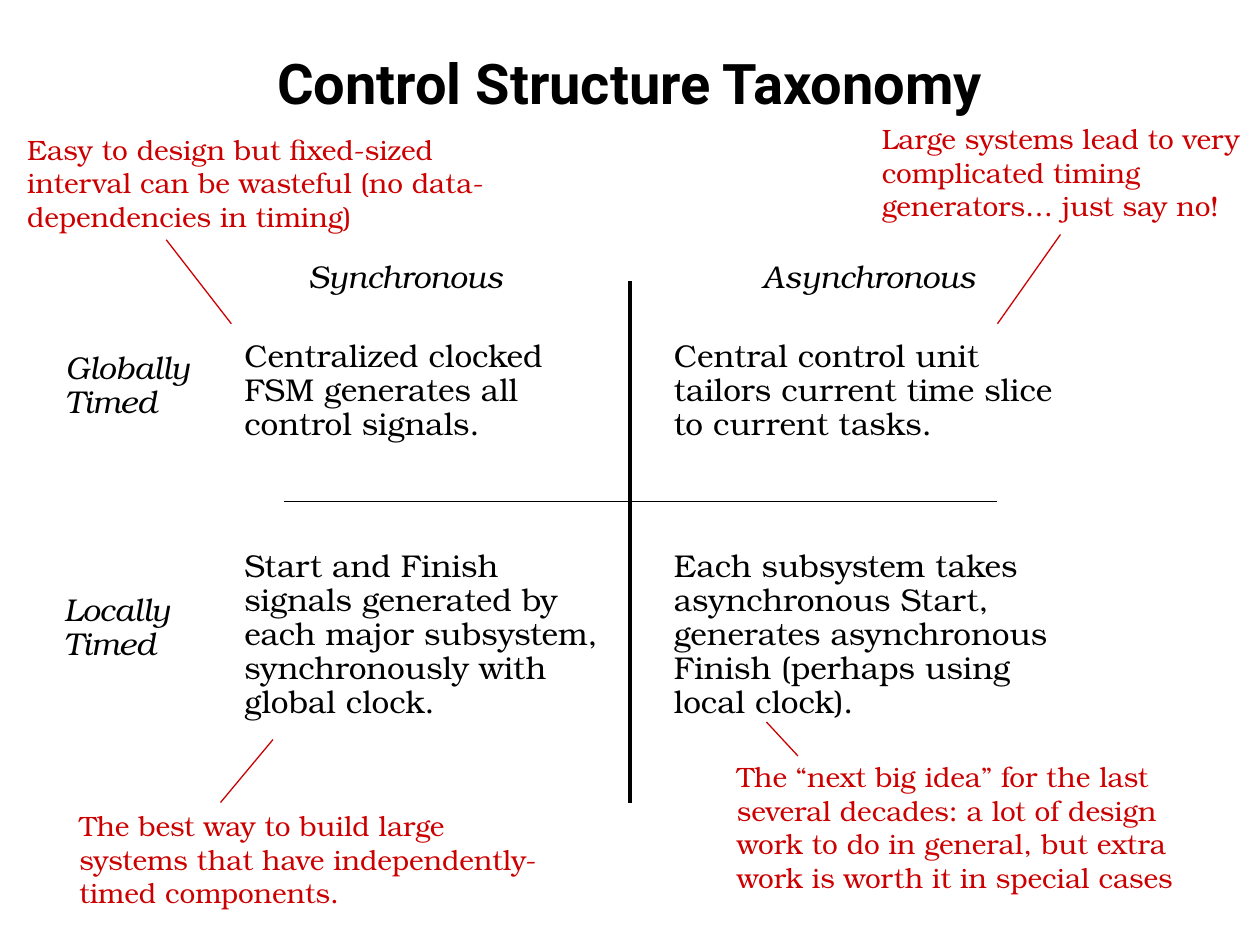
from lxml.etree import SubElement
from pptx import Presentation
from pptx.dml.color import RGBColor
from pptx.enum.shapes import MSO_CONNECTOR as Connector
from pptx.enum.text import MSO_ANCHOR as Anchor, MSO_AUTO_SIZE as AutoSize, PP_ALIGN as Align
from pptx.oxml.ns import qn
from pptx.util import Pt

BLACK, RED = "000000", "CC0000"
SERIF = "TeX Gyre Bonum"
TITLE = {"name": "Roboto", "size": Pt(32), "bold": True}
LABEL = {"name": SERIF, "size": Pt(18), "italic": True}
BODY = {"name": SERIF, "size": Pt(18)}
NOTE = {"name": SERIF, "size": Pt(16)}

LABELS = [
    ("Synchronous", (169.2, 145.5, 131.8, 27.4)),
    ("Asynchronous", (428.4, 145.5, 148.3, 27.4)),
    ("Globally\nTimed", (30.3, 198, 91.4, 46.8)),
    ("Locally\nTimed", (29.5, 336.3, 80.6, 46.8)),
]
QUADRANTS = [
    ("Centralized clocked FSM generates all control signals.",
     (132.5, 190.8, 209.5, 66.2),
     "Easy to design but fixed-sized interval can be wasteful (no data-dependencies in timing)",
     (8.4, 72, 291.6, 65.5), (95, 137, 132.2, 185)),
    ("Central control unit tailors current time slice to current tasks.",
     (378, 190.8, 239.8, 66.2),
     "Large systems lead to very complicated timing generators… just say no!",
     (496.8, 66, 235.4, 64.8), (606, 134, 570, 185)),
    ("Start and Finish signals generated by each major subsystem, synchronously with global clock.",
     (132.5, 311, 221.8, 105.8),
     "The best way to build large systems that have independently-timed components.",
     (38.2, 458.6, 279.4, 65.5), (126, 458.6, 156, 422.6)),
    ("Each subsystem takes asynchronous Start, generates asynchronous Finish (perhaps using local clock).",
     (378, 311, 246.2, 105.8),
     "The “next big idea” for the last several decades: a lot of design work to do in general, "
     "but extra work is worth it in special cases",
     (414, 430.6, 283, 85), (438, 412.6, 456, 432)),
]


def paint(color_format, color):
    """Apply a hex colour to a font or line colour."""
    color_format.rgb = RGBColor.from_string(color)


def style(para, values, color=BLACK):
    """Format every span of a paragraph from a dict of font values."""
    for span in para.runs:
        for name, value in values.items():
            setattr(span.font, name, value)
        paint(span.font.color, color)


def add_text(shapes, text, box, values, color=BLACK, spacing=None, wrap=True):
    """Add a text box that grows with its text."""
    frame = shapes.add_textbox(*map(Pt, box)).text_frame
    frame.text = text
    frame.word_wrap = wrap
    frame.auto_size = AutoSize.SHAPE_TO_FIT_TEXT
    for para in frame.paragraphs:
        para.line_spacing = spacing
        style(para, values, color)


def add_line(shapes, ends, color=BLACK, width=0.75):
    """Add a straight line without a shadow."""
    line = shapes.add_connector(Connector.STRAIGHT, *map(Pt, ends))
    paint(line.line.color, color)
    line.line.width = Pt(width)
    SubElement(line._element.spPr, qn("a:effectLst"))


def add_title(page, text, box):
    """Place and format the title placeholder."""
    title = page.shapes.title
    title.left, title.top, title.width, title.height = map(Pt, box)
    frame = title.text_frame
    frame.text = text
    frame.vertical_anchor = Anchor.MIDDLE
    frame.auto_size = AutoSize.NONE
    para = frame.paragraphs[0]
    para.alignment = Align.CENTER
    style(para, TITLE)


def add_axes(page, box):
    """Cross a thick vertical and a thin horizontal line in the given box."""
    left, top, width, height = box
    add_line(page.shapes, (360, top, 360, top + height), width=2)
    add_line(page.shapes, (left, 286.6, left + width, 286.6))


def add_quadrant(page, body, box, note, note_box, pointer):
    """Group a quadrant's description with its red note and pointer."""
    shapes = page.shapes.add_group_shape().shapes
    add_text(shapes, body, box, BODY, spacing=0.9)
    add_text(shapes, note, note_box, NOTE, RED)
    add_line(shapes, pointer, RED)


def main():
    """Build and save the deck."""
    deck = Presentation()
    deck.slide_width, deck.slide_height = Pt(720), Pt(540)
    page = deck.slides.add_slide(deck.slide_layouts[5])
    add_title(page, "Control Structure Taxonomy", (36, 21.6, 648, 50.4))
    add_axes(page, (162, 160.6, 408, 298))
    for text, box in LABELS:
        add_text(page.shapes, text, box, LABEL, spacing=0.9, wrap=False)
    for quadrant in QUADRANTS:
        add_quadrant(page, *quadrant)
    deck.save("out.pptx")


if __name__ == "__main__":
    main()
